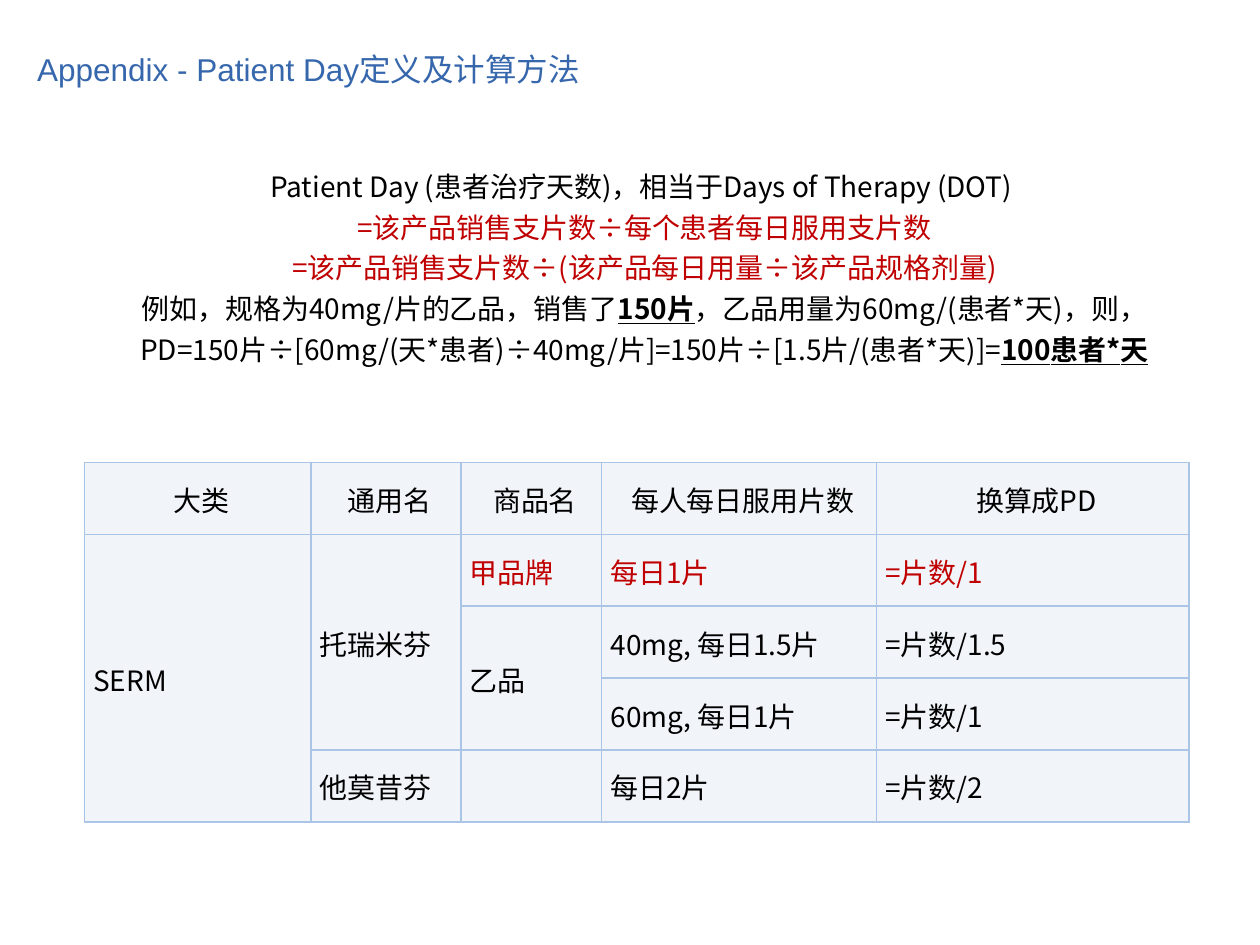
from lxml.etree import SubElement
from pptx import Presentation
from pptx.dml.color import RGBColor
from pptx.enum.text import MSO_ANCHOR, PP_ALIGN
from pptx.oxml.ns import qn
from pptx.util import Cm, Pt

CJK_FONT = "Noto Sans CJK SC"
BLACK = "000000"
RED = "C00000"
BLUE = "3667AC"
CELL_FILL = "F1F5FA"
BORDER = "ABC5E7"

DEFINITION = [
    [("Patient Day (患者治疗天数)，相当于Days of Therapy (DOT) ", BLACK, False)],
    [("=该产品销售支片数÷每个患者每日服用支片数", RED, False)],
    [("=该产品销售支片数÷(该产品每日用量÷该产品规格剂量)", RED, False)],
    [("例如，规格为40mg/片的乙品，销售了", BLACK, False),
     ("150片", BLACK, True),
     ("，乙品用量为60mg/(患者*天)，则，", BLACK, False)],
    [("PD=150片÷[60mg/(天*患者)÷40mg/片]=150片÷[1.5片/(患者*天)]=", BLACK, False),
     ("100患者*天", BLACK, True)],
]

COLUMN_WIDTHS = [4.57, 3.02, 2.84, 5.54, 6.3]
ROW_HEIGHT = 1.45
ROWS = [
    ["大类", "通用名", "商品名", "每人每日服用片数", "换算成PD"],
    ["SERM", "托瑞米芬", "甲品牌", "每日1片", "=片数/1"],
    ["", "", "乙品", "40mg, 每日1.5片", "=片数/1.5"],
    ["", "", "", "60mg, 每日1片", "=片数/1"],
    ["", "他莫昔芬", "", "每日2片", "=片数/2"],
]
MERGES = [((1, 0), (4, 0)), ((1, 1), (3, 1)), ((2, 2), (3, 2))]


def color(value):
    return RGBColor.from_string(value)


def add_run(paragraph, text, size, value, font=CJK_FONT, emphasis=False):
    run = paragraph.add_run()
    run.text = text
    run.font.size = Pt(size)
    run.font.name = font
    run.font.bold = emphasis
    run.font.underline = emphasis
    run.font.color.rgb = color(value)
    SubElement(run.font._element, qn("a:ea"), typeface=CJK_FONT)


def add_text_frame(slide, left, top, width, height):
    shape = slide.shapes.add_textbox(Cm(left), Cm(top), Cm(width), Cm(height))
    shape.text_frame.word_wrap = True
    return shape.text_frame


def add_title(slide, left, top, width, height):
    frame = add_text_frame(slide, left, top, width, height)
    frame.margin_left = frame.margin_right = Cm(0.25)
    frame.vertical_anchor = MSO_ANCHOR.MIDDLE
    add_run(frame.paragraphs[0], "Appendix - Patient Day定义及计算方法", 18, BLUE, "Arial")


def add_definition(slide, left, top, width, height):
    frame = add_text_frame(slide, left, top, width, height)
    for index, line in enumerate(DEFINITION):
        paragraph = frame.add_paragraph() if index else frame.paragraphs[0]
        paragraph.alignment = PP_ALIGN.CENTER
        paragraph.space_before = Pt(4 if index else 0)
        for text, value, emphasis in line:
            add_run(paragraph, text, 16, value, emphasis=emphasis)


def style_cell(cell):
    properties = cell._tc.get_or_add_tcPr()
    for side in ("lnL", "lnR", "lnT", "lnB"):
        line = SubElement(properties, qn(f"a:{side}"), w=str(Pt(1)))
        fill = SubElement(line, qn("a:solidFill"))
        SubElement(fill, qn("a:srgbClr"), val=BORDER)
    cell.fill.solid()
    cell.fill.fore_color.rgb = color(CELL_FILL)
    cell.vertical_anchor = MSO_ANCHOR.MIDDLE
    cell.margin_left = Cm(0.18)
    cell.margin_right = cell.margin_top = Cm(0.03)
    cell.margin_bottom = 0


def add_conversion_table(slide, left, top):
    width, height = sum(COLUMN_WIDTHS), ROW_HEIGHT * len(ROWS)
    table = slide.shapes.add_table(
        len(ROWS), len(COLUMN_WIDTHS), Cm(left), Cm(top), Cm(width), Cm(height)
    ).table
    for column, column_width in zip(table.columns, COLUMN_WIDTHS):
        column.width = Cm(column_width)
    for row_index, texts in enumerate(ROWS):
        table.rows[row_index].height = Cm(ROW_HEIGHT)
        for column_index, text in enumerate(texts):
            cell = table.cell(row_index, column_index)
            style_cell(cell)
            if text:
                paragraph = cell.text_frame.paragraphs[0]
                paragraph.alignment = PP_ALIGN.LEFT if row_index else PP_ALIGN.CENTER
                highlighted = row_index == 1 and column_index >= 2
                add_run(paragraph, text, 16, RED if highlighted else BLACK)
    for first, last in MERGES:
        table.cell(*first).merge(table.cell(*last))


def build_presentation():
    presentation = Presentation()
    presentation.slide_width = Cm(25.4)
    presentation.slide_height = Cm(19.05)
    slide = presentation.slides.add_slide(presentation.slide_layouts[6])
    add_title(slide, 0.5, -0.03, 22.2, 2.82)
    add_definition(slide, 1.27, 3.3, 23.44, 5.05)
    add_conversion_table(slide, 1.7, 9.32)
    presentation.save("out.pptx")


build_presentation()
